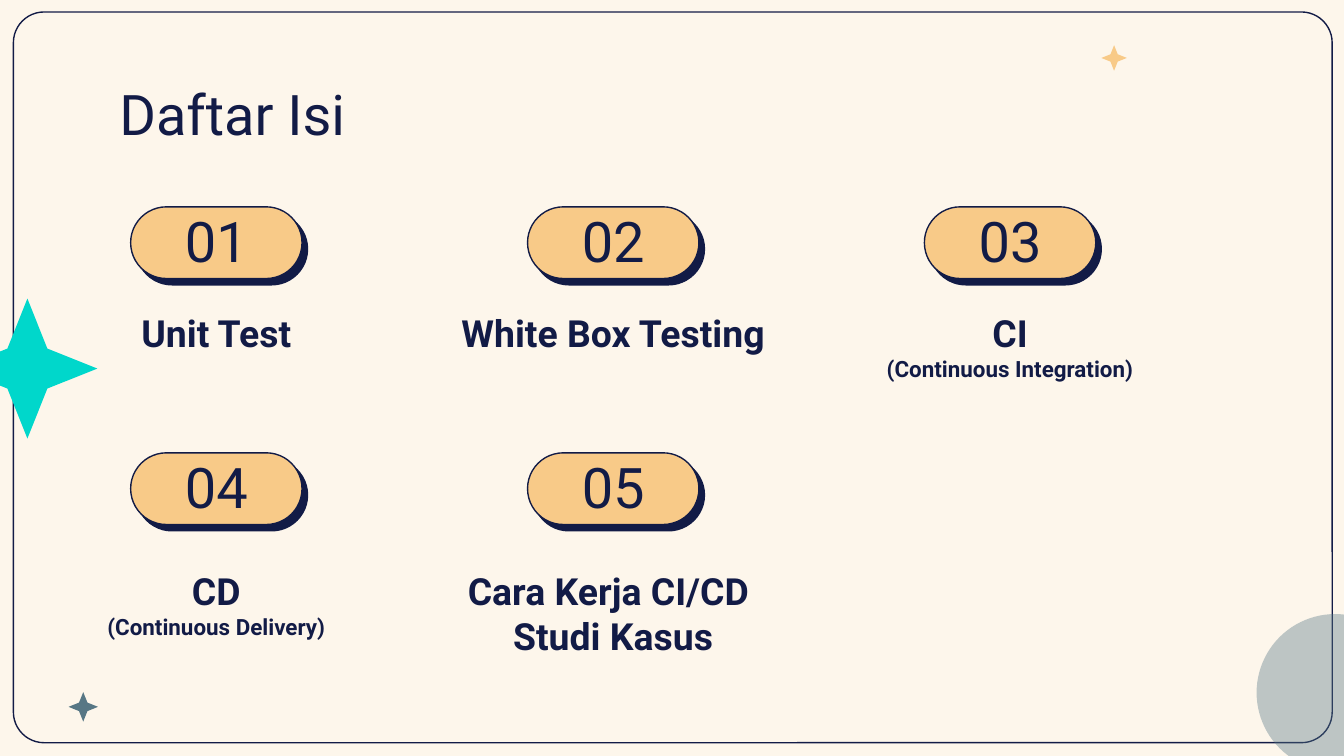
from lxml.etree import SubElement
from pptx import Presentation
from pptx.dml.color import RGBColor
from pptx.enum.shapes import MSO_SHAPE
from pptx.enum.text import MSO_ANCHOR, PP_ALIGN
from pptx.oxml.ns import qn
from pptx.util import Pt

NAVY, GOLD, TEAL, SLATE = "121B46", "F8CA88", "00D7CB", "577785"


def draw(kind, x, y, w, h, fill=None, line=None, adj=None):
    shape = slide.shapes.add_shape(kind, Pt(x), Pt(y), Pt(w), Pt(h))
    shape.shadow.inherit = False
    if fill:
        shape.fill.solid()
        shape.fill.fore_color.rgb = RGBColor.from_string(fill)
    else:
        shape.fill.background()
    if line:
        shape.line.color.rgb = RGBColor.from_string(line)
        shape.line.width = Pt(0.75)
    else:
        shape.line.fill.background()
    if adj is not None:
        shape.adjustments[0] = adj
    return shape


def write(x, y, w, h, lines, align=PP_ALIGN.CENTER, anchor=MSO_ANCHOR.TOP):
    """Add a text box; each line is (text, size, bold)."""
    frame = slide.shapes.add_textbox(Pt(x), Pt(y), Pt(w), Pt(h)).text_frame
    frame.word_wrap = True
    frame.vertical_anchor = anchor
    frame.margin_left = frame.margin_right = Pt(7.2)
    frame.margin_top = frame.margin_bottom = Pt(7.2)
    for i, (text, size, bold) in enumerate(lines):
        para = frame.add_paragraph() if i else frame.paragraphs[0]
        para.text = text
        para.alignment = align
        para.font.name = "Roboto"
        para.font.size = Pt(size)
        para.font.bold = bold
        para.font.color.rgb = RGBColor.from_string(NAVY)


deck = Presentation()
deck.slide_width, deck.slide_height = Pt(720), Pt(405)
slide = deck.slides.add_slide(deck.slide_layouts[6])
slide.background.fill.solid()
slide.background.fill.fore_color.rgb = RGBColor.from_string("FDF6EB")

# Frame and ornaments
draw(MSO_SHAPE.ROUNDED_RECTANGLE, 7.2, 6.4, 706.5, 391.5, line=NAVY, adj=0.042)
disc = draw(MSO_SHAPE.OVAL, 673.2, 329, 84.2, 84.2, SLATE)
tint = disc.fill._xPr.find(qn("a:solidFill"))[0]
SubElement(tint, qn("a:alpha"), val="38000")
for x, y, size, color in [
    (-22.8, 160, 75, TEAL),
    (36.7, 370.8, 15.8, SLATE),
    (590, 24.2, 13.7, GOLD),
]:
    draw(MSO_SHAPE.STAR_4_POINT, x, y, size, size, color, adj=0.202)

write(56.9, 35.3, 607, 45.4, [("Daftar Isi", 30, False)], PP_ALIGN.LEFT)

# Topics: label lines, label width
topics = [
    ([("Unit Test", 20, True)], 137.5),
    ([("White Box Testing", 20, True)], 220),
    ([("CI", 20, True), ("(Continuous Integration)", 12, True)], 175),
    ([("CD", 20, True), ("(Continuous Delivery)", 12, True)], 155),
    ([("Cara Kerja CI/CD \vStudi Kasus", 20, True)], 188.6),
]
pill_w, pill_h = 91.8, 38.4
for i, (lines, width) in enumerate(topics):
    row, col = divmod(i, 3)
    x, y = 70 + 212.6 * col, 110.8 + 131.8 * row
    pill = draw(MSO_SHAPE.ROUNDED_RECTANGLE, x, y, pill_w, pill_h, GOLD, NAVY, 0.5)
    effects = pill._element.spPr.find(qn("a:effectLst"))
    shade = SubElement(effects, qn("a:outerShdw"), blurRad="0", dist=str(Pt(4.5)),
                       dir=str(49 * 60000), algn="bl", rotWithShape="0")
    SubElement(shade, qn("a:srgbClr"), val=NAVY)
    write(x, y + 7.7, pill_w, 35.3, [(f"{i + 1:02}", 30, False)],
          anchor=MSO_ANCHOR.BOTTOM)
    write(x + (pill_w - width) / 2, y + 48.3 + 6.5 * row, width, 38.2, lines)

deck.save("out.pptx")
